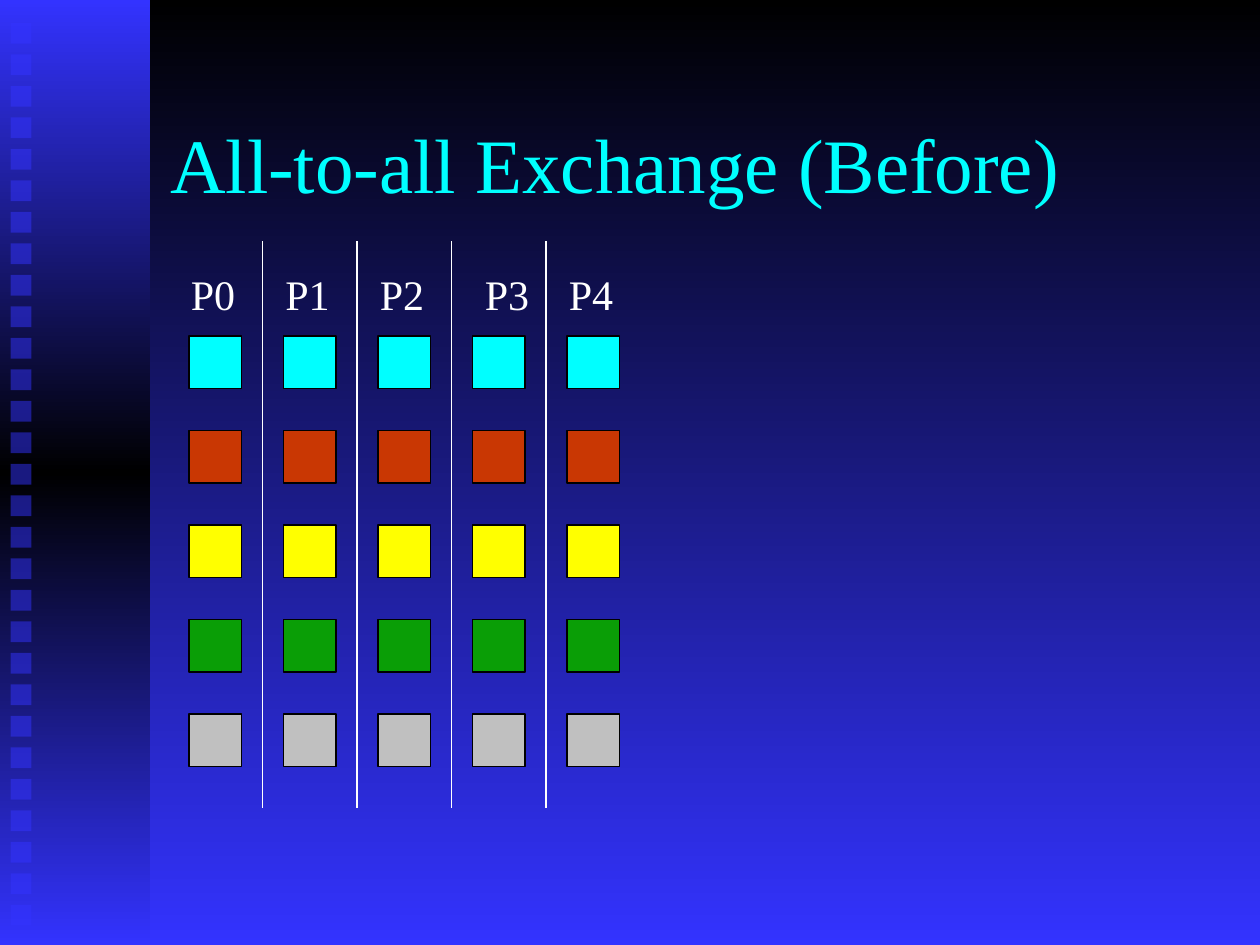
from copy import deepcopy

from lxml import etree
from pptx import Presentation
from pptx.dml.color import RGBColor
from pptx.enum import shapes, text
from pptx.oxml.ns import qn
from pptx.util import Pt

FONT = "Times New Roman"
BLUE, BLACK, WHITE, CYAN = "3333FF", "000000", "FFFFFF", "00FFFF"
ROW_COLORS = [CYAN, "C93703", "FFFF00", "0A9E06", "C0C0C0"]
PROCESSES = ["P0", "P1", "P2", "P3", "P4"]
PITCH = 54  # distance between neighbouring columns and rows
BLOCK = 30


def rgb(value):
    return RGBColor.from_string(value)


def shade_down(fill, owner, colors):
    """Fill with evenly spaced colours running from top to bottom."""
    fill.gradient()
    fill.gradient_angle = 270
    stop_list = owner.find(".//" + qn("a:gsLst"))
    for _ in colors[2:]:
        stop_list.append(deepcopy(stop_list[0]))
    for i, (stop, color) in enumerate(zip(fill.gradient_stops, colors)):
        stop.color.rgb = rgb(color)
        stop.position = i / (len(colors) - 1)


def add_rect(slide, left, top, width, height, color=None, outline=None):
    rect = slide.shapes.add_shape(shapes.MSO_SHAPE.RECTANGLE,
                                  Pt(left), Pt(top), Pt(width), Pt(height))
    rect.shadow.inherit = False
    if color:
        rect.fill.solid()
        rect.fill.fore_color.rgb = rgb(color)
    if outline:
        rect.line.color.rgb = rgb(outline)
        rect.line.width = Pt(0.75)
    else:
        rect.line.fill.background()
    return rect


def write(frame, words, size, color, **frame_format):
    for name, value in frame_format.items():
        setattr(frame, name, value)
    frame.text = words
    paragraph = frame.paragraphs[0]
    paragraph.alignment = text.PP_ALIGN.LEFT
    for name, value in {"name": FONT, "size": Pt(size)}.items():
        setattr(paragraph.font, name, value)
    paragraph.font.color.rgb = rgb(color)


def add_sidebar(slide, left, top, width, height):
    band = add_rect(slide, left, top, width, height)
    shade_down(band.fill, band._element, [BLUE, BLACK, BLUE])
    for i in range(29):
        stud = add_rect(slide, left + 6, top + 13 + 18 * i, 12, 12, BLUE)
        color = stud._element.spPr.find(".//" + qn("a:srgbClr"))
        etree.SubElement(color, qn("a:alpha"), val="50000")


def add_title(slide, left, top, width, height):
    title = slide.shapes.title
    box = {"left": left, "top": top, "width": width, "height": height}
    for name, value in box.items():
        setattr(title, name, Pt(value))
    write(title.text_frame, "All-to-all Exchange (Before)", 44, CYAN,
          vertical_anchor=text.MSO_ANCHOR.MIDDLE,
          auto_size=text.MSO_AUTO_SIZE.NONE)


def add_separator(slide, x, top, height):
    line = slide.shapes.add_connector(shapes.MSO_CONNECTOR.STRAIGHT,
                                      Pt(x), Pt(top), Pt(x), Pt(top + height))
    line.line.color.rgb = rgb(WHITE)
    line.line.width = Pt(0.75)
    etree.SubElement(line._element.spPr, qn("a:effectLst"))


def add_exchange_grid(slide, left, top, height):
    """Place one column of data blocks per process, with lines between."""
    for row, color in enumerate(ROW_COLORS):
        for column in range(len(PROCESSES)):
            add_rect(slide, left + 6 + PITCH * column, top + 54 + PITCH * row,
                     BLOCK, BLOCK, color, BLACK)
    for column, process in enumerate(PROCESSES):
        nudge = 6 if process == "P3" else 0
        label = slide.shapes.add_textbox(Pt(left + PITCH * column + nudge),
                                         Pt(top + 12), Pt(39.6), Pt(36))
        write(label.text_frame, process, 24, WHITE, word_wrap=False,
              auto_size=text.MSO_AUTO_SIZE.SHAPE_TO_FIT_TEXT)
    for gap in range(len(PROCESSES) - 1):
        add_separator(slide, left + 48 + PITCH * gap, top, height)


def main():
    deck = Presentation()
    deck.slide_width, deck.slide_height = Pt(720), Pt(540)
    slide = deck.slides.add_slide(deck.slide_layouts[5])
    shade_down(slide.background.fill, slide._element, [BLACK, BLUE])
    add_sidebar(slide, 0, 0, 85.7, 540)
    add_title(slide, 90, 48, 612, 90)
    add_exchange_grid(slide, 102, 138, 324)
    deck.save("out.pptx")


if __name__ == "__main__":
    main()
